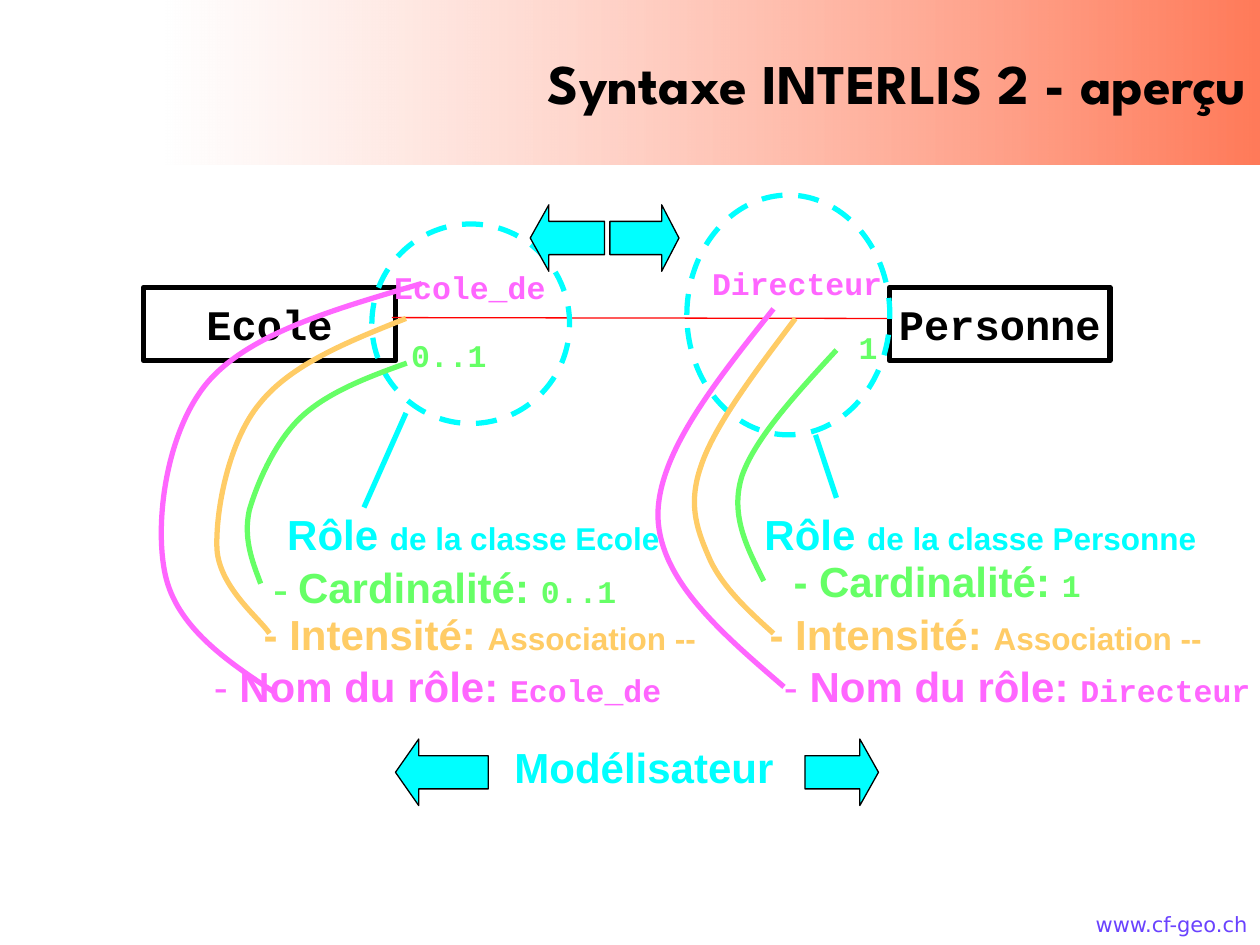
from lxml.etree import SubElement
from pptx import Presentation
from pptx.dml.color import RGBColor
from pptx.enum.dml import MSO_LINE_DASH_STYLE as Dash
from pptx.enum.shapes import MSO_CONNECTOR as Link, MSO_SHAPE as Form
from pptx.enum.text import MSO_ANCHOR as Anchor, PP_ALIGN as Align
from pptx.oxml.ns import qn
from pptx.util import Pt

color = RGBColor.from_string
BLACK, CYAN, GREEN, ORANGE, PINK = "000000", "00FFFF", "66FF66", "FFCC66", "FF66FF"
SANS, MONO, SERIF = "Arial", "Courier New", "Times New Roman"


def write(box, tint, spans, align=Align.CENTER, anchor=Anchor.MIDDLE, wrap=False):
    frame = box.text_frame
    for name, value in {"word_wrap": wrap, "vertical_anchor": anchor}.items():
        setattr(frame, name, value)
    para = frame.paragraphs[0]
    para.alignment = align
    for text, size, face, bold in spans:
        span = para.add_run()
        span.text = text
        for name, value in {"size": Pt(size), "name": face, "bold": bold}.items():
            setattr(span.font, name, value)
        span.font.color.rgb = color(tint)


def outline(shape, tint=None, width=0, fill=None):
    shape.shadow.inherit = False
    for part, shade in ((shape.fill, fill), (shape.line.fill, tint)):
        if shade:
            part.solid()
            part.fore_color.rgb = color(shade)
        else:
            part.background()
    if tint:
        shape.line.width = Pt(width)


deck = Presentation()
deck.slide_width, deck.slide_height = Pt(720), Pt(540)
page = deck.slides.add_slide(deck.slide_layouts[6])
shapes = page.shapes

footer = shapes.add_textbox(Pt(598.5), Pt(517.5), Pt(121.5), Pt(22.5))
write(footer, "6A42FE", [("www.cf-geo.ch", 12, "DejaVu Sans", False)],
      Align.RIGHT, Anchor.TOP, True)

title = shapes.add_shape(Form.RECTANGLE, Pt(94.5), Pt(0), Pt(625.5), Pt(94))
title.shadow.inherit = False
title.line.fill.background()
title.fill.gradient()
title.fill.gradient_angle = 0
for stop, tint in zip(title.fill.gradient_stops, ("FFFFFF", "FF3300")):
    stop.color.rgb = color(tint)
for tone, alpha in zip(title._element.spPr.iter(qn("a:srgbClr")), (46000, 65000)):
    SubElement(tone, qn("a:alpha"), val=str(alpha))
write(title, BLACK, [("Syntaxe INTERLIS 2 - aperçu", 32, "League Spartan", True)],
      Align.RIGHT, wrap=True)

for name, left, width in (("Ecole", 82, 144), ("Personne", 508.3, 126)):
    box = shapes.add_shape(Form.RECTANGLE, Pt(left), Pt(164.2), Pt(width), Pt(42))
    outline(box, BLACK, 3)
    write(box, BLACK, [(name, 24, MONO, True)])

links = [
    ("FF0000", 0.75, (224, 181.5, 508.3, 182)),
    (CYAN, 3, (466, 248.5, 478, 284.5)),
    (CYAN, 3, (232, 236, 208, 290)),
]
for tint, width, ends in links:
    link = shapes.add_connector(Link.STRAIGHT, *map(Pt, ends))
    link.line.color.rgb = color(tint)
    link.line.width = Pt(width)
    SubElement(link._element.spPr, qn("a:effectLst"))

labels = [
    ("0..1", GREEN, 18, MONO, (238.5, 188, 36, 30)),
    ("Directeur", PINK, 18, MONO, (410.5, 155.5, 90, 12)),
    ("Ecole_de", PINK, 18, MONO, (250.5, 152, 36, 24)),
    ("1", GREEN, 18, MONO, (484, 184, 24, 29)),
    ("Modélisateur", CYAN, 24, SANS, (292.5, 416, 151, 44)),
]
notes = [(tint, [(text, size, face, True)], place)
         for text, tint, size, face, place in labels]

roles = [
    (148.5, "Ecole", "0..1", "Ecole_de", SERIF, (244, 211.5, 251.5, 203), (30, 30, 24, 24)),
    (436.5, "Personne", "1", "Directeur", SANS, (247.5, 198, 253.5, 289.5), (30, 24, 24, 24)),
]
for left, owner, count, role, dash_face, widths, heights in roles:
    rows = [
        (CYAN, [("Rôle ", 24, SANS, True), (f"de la classe {owner}", 18, SANS, True)]),
        (GREEN, [("- ", 24, dash_face, True), ("Cardinalité: ", 24, SANS, True),
                 (count, 18, MONO, True)]),
        (ORANGE, [("- Intensité: ", 24, SANS, True), ("Association --", 18, SANS, True)]),
        (PINK, [("- ", 24, SANS, False), ("Nom du rôle: ", 24, SANS, True),
                (role, 18, MONO, True)]),
    ]
    for index, (tint, spans) in enumerate(rows):
        place = (left, 290 + 30 * index, widths[index], heights[index])
        notes.append((tint, spans, place))

for tint, spans, place in notes:
    box = shapes.add_shape(Form.RECTANGLE, *map(Pt, place))
    outline(box)
    write(box, tint, spans)

for place in ((212.5, 128, 113, 114), (392.5, 111.5, 116, 137)):
    ring = shapes.add_shape(Form.OVAL, *map(Pt, place))
    outline(ring, CYAN, 3)
    ring.line.dash_style = Dash.DASH

arrows = [
    (Form.RIGHT_ARROW, 348.5, 117, 39.5, 0.26),
    (Form.LEFT_ARROW, 303, 117, 42.5, 0.28),
    (Form.RIGHT_ARROW, 460, 422.3, 42, 0.28),
    (Form.LEFT_ARROW, 226, 422.3, 53, 0.35),
]
for form, left, top, width, head in arrows:
    arrow = shapes.add_shape(form, Pt(left), Pt(top), Pt(width), Pt(38))
    arrow.adjustments[1] = head
    outline(arrow, BLACK, 0.75, CYAN)

curves = [
    (GREEN, [(232.5, 207.5), (210, 215.5), (188, 224), (173, 237.5), (157.5, 251.5),
             (147, 276), (142.5, 291.5), (139, 307.5), (144, 320.5), (149, 333.5)]),
    (ORANGE, [(232, 182), (199.5, 195), (166.5, 208), (148.5, 230.5), (130.5, 252),
              (123, 292.5), (124, 314), (125.5, 336), (149, 354), (154, 362)]),
    (PINK, [(442, 176.5), (409, 218), (375, 260), (376, 296), (377.5, 332),
            (412.5, 362), (448, 392.5)]),
    (GREEN, [(478, 200), (454.5, 225.5), (431.5, 250.5), (424, 272), (417, 294.5),
             (427, 313), (436.5, 332)]),
    (ORANGE, [(454.5, 182), (431.5, 212.5), (408, 243.5), (400.5, 266.5), (392.5, 289.5),
              (399, 304.5), (406, 320.5), (413.5, 336), (427.5, 349), (442, 362)]),
    (PINK, [(241, 162), (192, 176.5), (144, 190), (119.5, 217.5), (95, 245.5),
            (88, 299), (94.5, 328.5), (101, 358), (129, 377.5), (157.5, 396)]),
]
for tint, knots in curves:
    builder = shapes.build_freeform(*map(Pt, knots[0]))
    builder.add_line_segments([tuple(map(Pt, knot)) for knot in knots[1:]], close=False)
    curve = builder.convert_to_shape()
    outline(curve, tint, 3)
    track = next(curve._element.iter(qn("a:path")))
    for index, segment in enumerate(track.findall(qn("a:lnTo"))):
        if index % 3 == 0:
            bend = SubElement(track, qn("a:cubicBezTo"))
        bend.append(segment[0])
        track.remove(segment)

deck.save("out.pptx")
